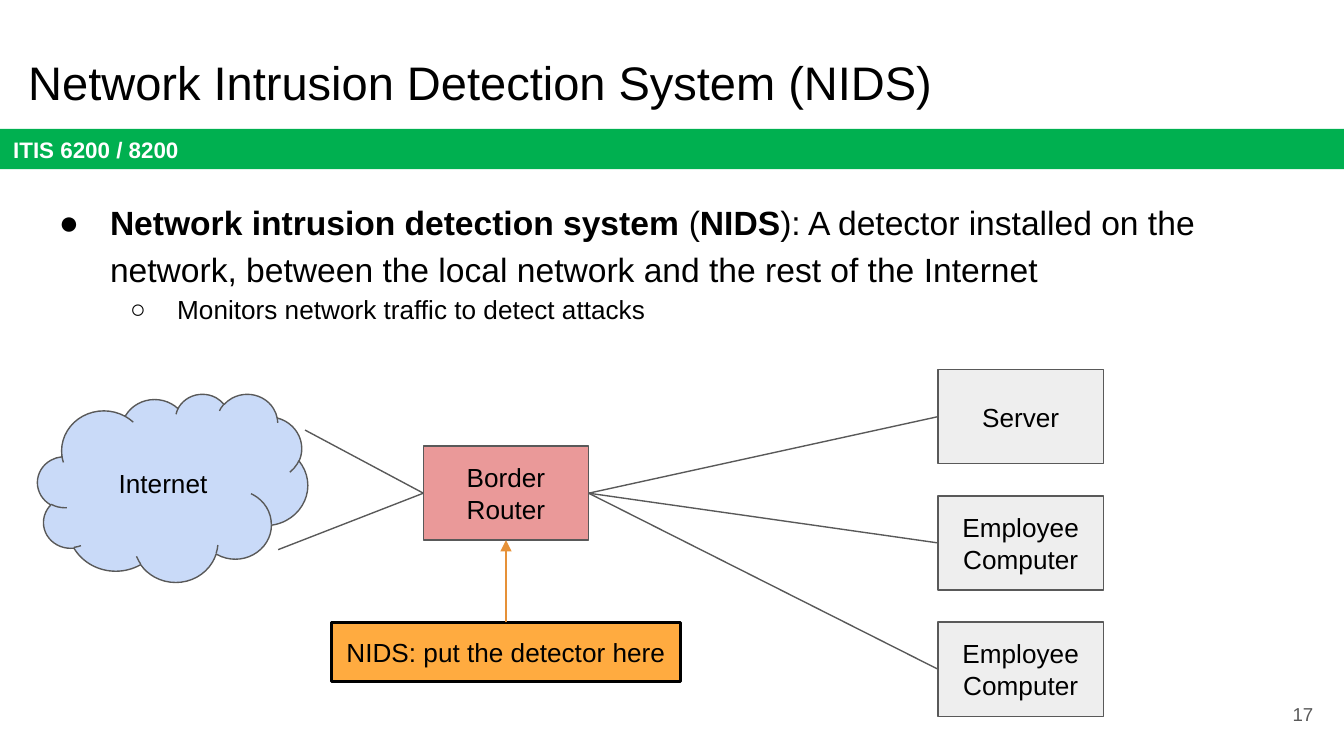
import pptx
import pptx.util
import pptx.dml.color
import pptx.enum.shapes
import pptx.enum.text
import pptx.oxml
import pptx.oxml.ns

Inch = pptx.util.Inches
Point = pptx.util.Pt
Kind = pptx.enum.shapes.MSO_SHAPE
Align = pptx.enum.text.PP_ALIGN
Anchor = pptx.enum.text.MSO_ANCHOR

WIDE = 10
HIGH = WIDE * 9 / 16
HUES = {
    "ink": "000000", "white": "FFFFFF", "green": "00B050", "gray": "595959",
    "pale": "EEEEEE", "red": "EA9999", "gold": "FFAB40", "arrow": "E69138",
    "blue": "C9DAF8",
}
TITLE = "Network Intrusion Detection System (NIDS)"
COURSE = "ITIS 6200 / 8200"
PAGE = "17"
POINTS = [
    ("●", 18, 0.5, 0.38, [
        ("Network intrusion detection system", True),
        (" (", False),
        ("NIDS", True),
        ("): A detector installed on the network, between the local network "
         "and the rest of the Internet", False),
    ]),
    ("○", 14, 1, 0.35, [("Monitors network traffic to detect attacks", False)]),
]
HOSTS = ["Server", "Employee Computer", "Employee Computer"]
ROUTER = "Border Router"
NOTE = "NIDS: put the detector here"
CLOUD = "Internet"

BOX_W, BOX_H = 1.23, 0.7
HOST_X, HOST_Y, STEP = 6.98, 2.75, 0.94
ROUTER_X, ROUTER_Y = 3.15, 3.32
NOTE_W, NOTE_H = 2.6, 0.44
NOTE_X = ROUTER_X + (BOX_W - NOTE_W) / 2
NOTE_Y = HOST_Y + 2 * STEP
LINKS = [(2.27, 3.2), (2.07, 4.09)]


def hue(name):
    return pptx.dml.color.RGBColor.from_string(HUES[name])


def style(para, size, color="ink", bold=False, align=Align.LEFT):
    para.alignment = align
    font = para.font
    font.name, font.size, font.bold = "Arial", Point(size), bold
    font.color.rgb = hue(color)


def frame(shape, anchor):
    text = shape.text_frame
    text.word_wrap = True
    text.vertical_anchor = anchor
    text.margin_left = text.margin_right = Inch(0.1)
    text.margin_top = text.margin_bottom = Inch(0.1)
    return text


def block(kind, area, fill, text, line="gray", weight=0.75, size=14,
          color="ink", bold=False, align=Align.CENTER):
    shape = slide.shapes.add_shape(kind, *map(Inch, area))
    shape.shadow.inherit = False
    shape.fill.solid()
    shape.fill.fore_color.rgb = hue(fill)
    if line:
        shape.line.color.rgb = hue(line)
        shape.line.width = Point(weight)
    else:
        shape.line.fill.background()
    words = frame(shape, Anchor.MIDDLE)
    words.text = text
    style(words.paragraphs[0], size, color, bold, align)
    return shape


def element(parent, tag, **attrs):
    child = pptx.oxml.parse_xml(
        f"<a:{tag} {pptx.oxml.ns.nsdecls('a')}/>")
    for key, value in attrs.items():
        child.set(key, value)
    parent.append(child)
    return child


def link(start, end, color="gray", weight=0.75, arrow=False):
    line = slide.shapes.add_connector(
        pptx.enum.shapes.MSO_CONNECTOR.STRAIGHT, 0, 0, 0, 0)
    if isinstance(start[0], (int, float)):
        line.begin_x, line.begin_y = map(Inch, start)
    else:
        line.begin_connect(*start)
    line.end_connect(*end)
    line.line.color.rgb = hue(color)
    line.line.width = Point(weight)
    if arrow:
        element(line.line._get_or_add_ln(), "tailEnd", type="triangle")
    element(line._element.spPr, "effectLst")


deck = pptx.Presentation()
deck.slide_width, deck.slide_height = Inch(WIDE), Inch(HIGH)
slide = deck.slides.add_slide(deck.slide_layouts[5])

block(Kind.RECTANGLE, (0, 0.96, WIDE, 0.3), "green", COURSE, line=None,
      size=12, color="white", bold=True, align=Align.LEFT)

title = slide.shapes.title
title.left, title.top, title.width, title.height = map(
    Inch, (0.11, 0.3, 9.32, 0.63))
words = frame(title, Anchor.TOP)
words.auto_size = pptx.enum.text.MSO_AUTO_SIZE.NONE
words.text = TITLE
style(words.paragraphs[0], 25.2)

body = slide.shapes.add_textbox(*map(Inch, (0.22, 1.36, 9.32, 4.12)))
words = frame(body, Anchor.TOP)
for row, (mark, size, left, hang, runs) in enumerate(POINTS):
    para = words.add_paragraph() if row else words.paragraphs[0]
    para.level = row
    props = para._p.get_or_add_pPr()
    props.set("marL", str(Inch(left)))
    props.set("indent", str(-Inch(hang)))
    element(element(props, "buClr"), "srgbClr", val=HUES["ink"])
    element(props, "buFont", typeface="Arial")
    element(props, "buChar", char=mark)
    para.line_spacing = 1.15
    style(para, size)
    for text, bold in runs:
        run = para.add_run()
        run.text, run.font.bold = text, bold

page = slide.shapes.add_textbox(*map(Inch, (9.27, 5.1, 0.6, 0.43)))
words = frame(page, Anchor.MIDDLE)
words.text = PAGE
style(words.paragraphs[0], 10, "gray", align=Align.RIGHT)

router = block(Kind.RECTANGLE, (ROUTER_X, ROUTER_Y, BOX_W, BOX_H), "red", ROUTER)
for row, name in enumerate(HOSTS):
    host = block(Kind.RECTANGLE, (HOST_X, HOST_Y + row * STEP, BOX_W, BOX_H),
                 "pale", name)
    link((host, 1), (router, 3))

note = block(Kind.RECTANGLE, (NOTE_X, NOTE_Y, NOTE_W, NOTE_H), "gold", NOTE,
             line="ink", weight=1.5)
link((note, 0), (router, 2), "arrow", 1.5, arrow=True)
for spot in LINKS:
    link(spot, (router, 1))
block(Kind.CLOUD, (0.28, 2.93, 2.01, 1.4), "blue", CLOUD)

deck.save("out.pptx")
